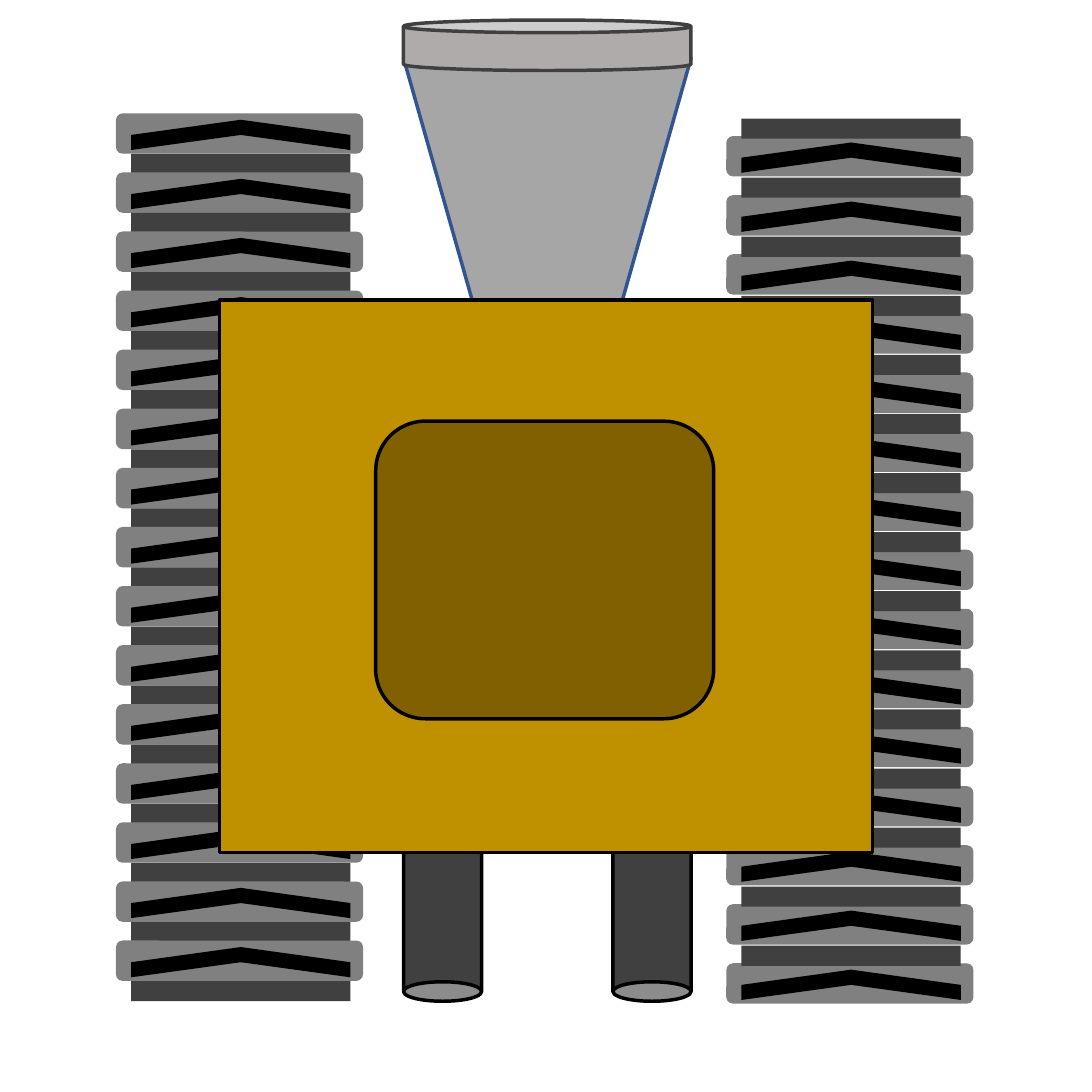
from dataclasses import dataclass
from typing import Optional

from pptx import Presentation
from pptx.dml.color import RGBColor
from pptx.enum import shapes
from pptx.shapes.group import GroupShape
from pptx.util import Inches, Pt

KIND = shapes.MSO_SHAPE
HUES = {
    "pad": "808080", "belt": "404040", "tread": "000000", "edge": "000000",
    "cone": "A6A6A6", "rim": "325491", "hull": "BF9000", "hatch": "806000",
    "cap": "AFABAB",
}
COUNT = 15
PITCH = 3.28 / (COUNT - 1)


@dataclass
class Part:
    """One filled outline, with lengths in inches."""
    kind: KIND
    left: float
    top: float
    width: float
    height: float
    fill: str
    line: Optional[str] = None
    turn: int = 0
    adj: Optional[float] = None


@dataclass
class Track:
    """A column of pads; gap is the offset from pad top to belt top."""
    left: float
    top: float
    gap: float


TRACKS = [Track(2.88, 0.54, -0.07), Track(0.46, 0.45, 0.16)]
BODY = [
    Part(KIND.CAN, 2.43, 2.87, 0.31, 1.1, "belt", "edge", 180),
    Part(KIND.CAN, 1.6, 2.87, 0.31, 1.1, "belt", "edge", 180),
    Part(KIND.TRAPEZOID, 1.6, 0.23, 1.14, 2.01, "cone", "rim", 180, 0.5),
    Part(KIND.RECTANGLE, 0.87, 1.19, 2.59, 2.19, "hull", "edge"),
    Part(KIND.ROUNDED_RECTANGLE, 1.49, 1.67, 1.34, 1.18, "hatch", "edge"),
    Part(KIND.CAN, 1.6, 0.08, 1.14, 0.2, "cap", "belt"),
]


def hue(name: str) -> RGBColor:
    """Look up a named colour."""
    return RGBColor.from_string(HUES[name])


def draw(group: GroupShape, part: Part) -> None:
    """Add one part to a group."""
    box = map(Inches, (part.left, part.top, part.width, part.height))
    shape = group.shapes.add_shape(part.kind, *box)
    shape.shadow.inherit = False
    shape.rotation = part.turn
    if part.adj is not None:
        shape.adjustments[0] = part.adj
    shape.fill.solid()
    shape.fill.fore_color.rgb = hue(part.fill)
    if part.line:
        shape.line.color.rgb = hue(part.line)
        shape.line.width = Pt(1)
    else:
        shape.line.fill.background()


def roll(group: GroupShape, track: Track) -> None:
    """Draw a track as evenly spaced pads, belt links and treads."""
    for step in range(COUNT):
        left, top = track.left, track.top + step * PITCH
        draw(group, Part(KIND.ROUNDED_RECTANGLE, left, top, 0.98, 0.16, "pad"))
        draw(group, Part(KIND.RECTANGLE, left + 0.06, top + track.gap,
                         0.87, 0.08, "belt"))
        draw(group, Part(KIND.CHEVRON, left + 0.435, top - 0.35,
                         0.12, 0.87, "tread", turn=270))


def main() -> None:
    """Build the slide and save it."""
    deck = Presentation()
    deck.slide_width = deck.slide_height = Inches(4.33)
    slide = deck.slides.add_slide(deck.slide_layouts[6])
    for track in TRACKS:
        roll(slide.shapes.add_group_shape(), track)
    body = slide.shapes.add_group_shape()
    for part in BODY:
        draw(body, part)
    deck.save("out.pptx")


main()
